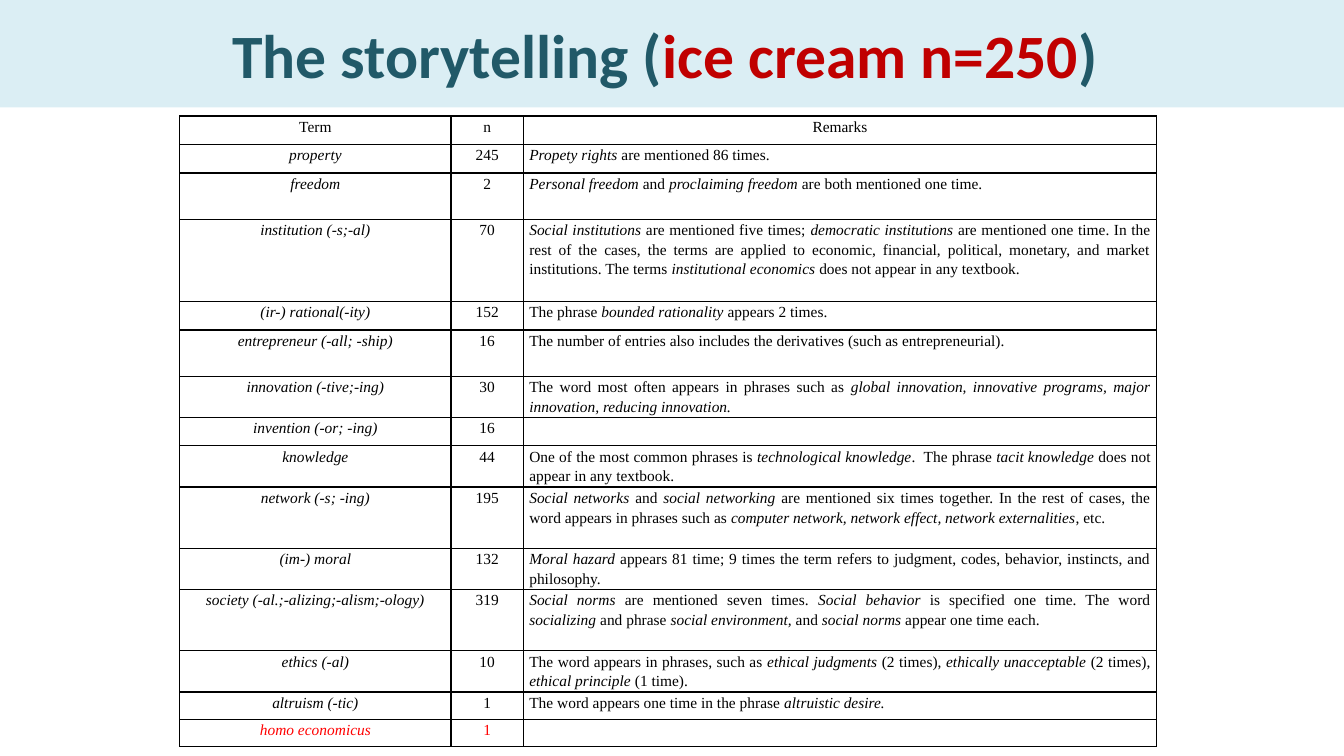
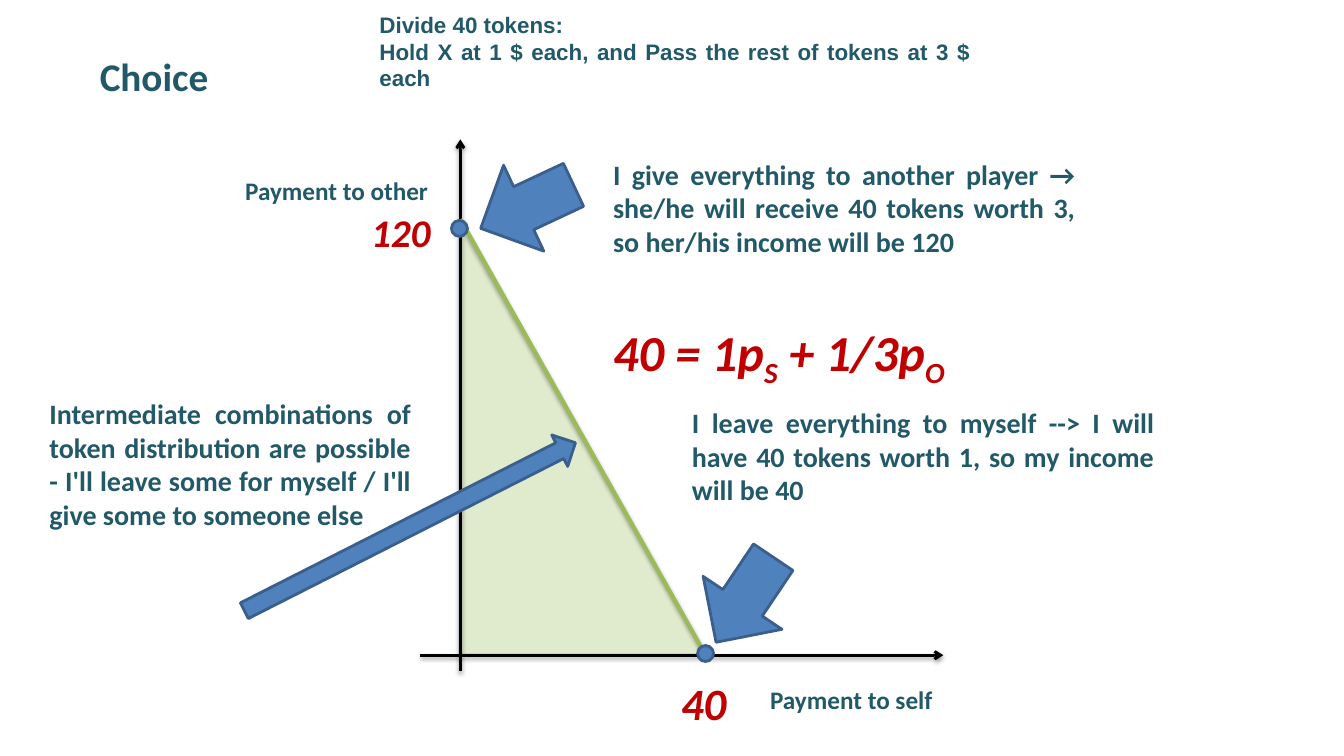
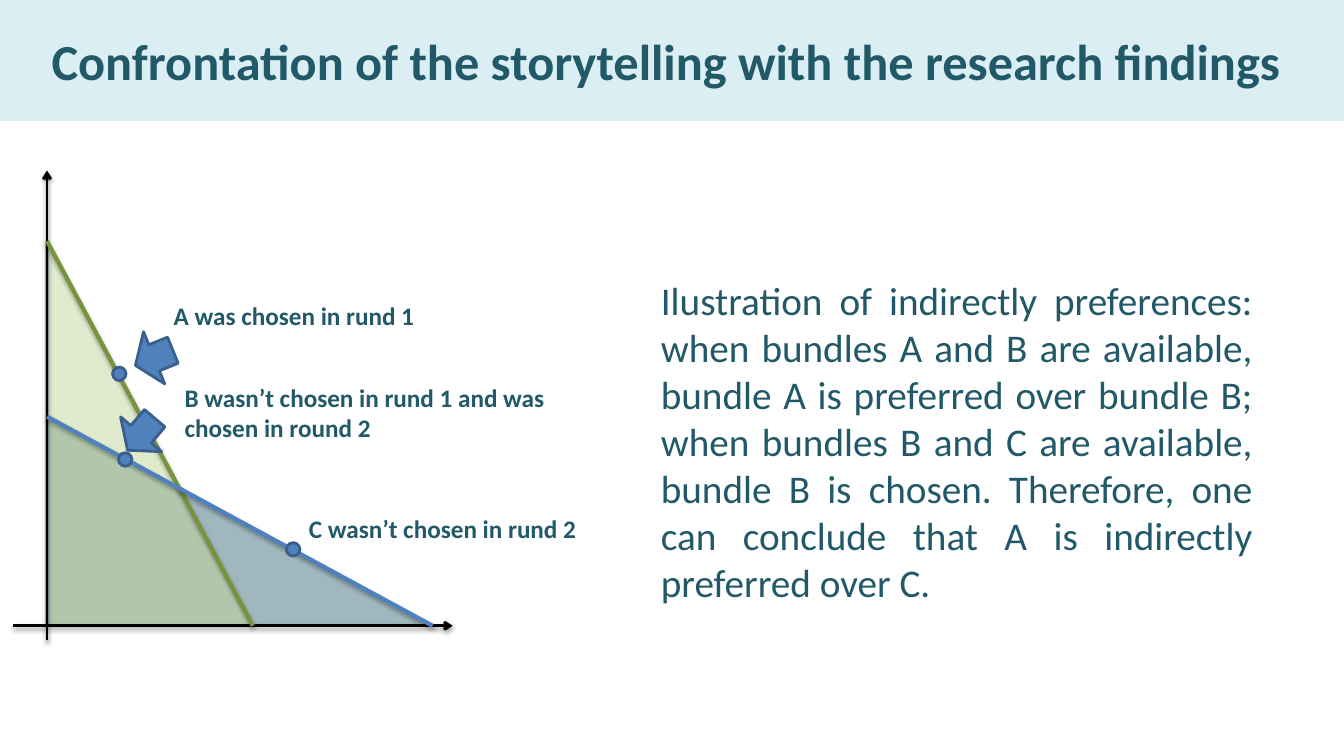
"""Build three slides on storytelling, token choice and indirect preferences."""
from lxml.etree import SubElement
from pptx import Presentation
from pptx.dml.color import RGBColor as RGB
from pptx.enum.shapes import MSO_CONNECTOR as CONN, MSO_SHAPE as SHAPE
from pptx.enum.text import MSO_ANCHOR as ANCHOR, PP_ALIGN as ALIGN
from pptx.oxml import parse_xml
from pptx.oxml.ns import nsdecls, qn
from pptx.util import Inches, Pt

COLORS = {
    "band": "DBEEF4", "teal": "215968", "red": "C00000", "alert": "FF0000",
    "black": "000000", "blue": "4F81BD", "edge": "3A5F8C",
    "lime": "C3D69B", "green": "9BBB59", "olive": "77933C",
}
C = {name: RGB.from_string(value) for name, value in COLORS.items()}
LEFT, MID, JUST = ALIGN.LEFT, ALIGN.CENTER, ALIGN.JUSTIFY

prs = Presentation()
prs.slide_width, prs.slide_height = Inches(40 / 3), Inches(7.5)
COLS, ROWS = 160, 90
U = prs.slide_height / ROWS


def grid(*cells):
    """Turn grid cells into lengths."""
    return [round(n * U) for n in cells]


def write(tf, text, size, color="teal", align=LEFT, bold=True, italic=False, font="Calibri"):
    """Fill a text frame and return the runs set between asterisks."""
    marked = []
    tf.word_wrap = True
    for i, line in enumerate(text.split("\n")):
        p = tf.add_paragraph() if i else tf.paragraphs[0]
        p.alignment = align
        p.font.name, p.font.size = font, Pt(size)
        p.font.bold, p.font.italic = bold, italic
        p.font.color.rgb = C[color]
        for j, part in enumerate(line.split("*")):
            if part:
                r = p.add_run()
                r.text = part
                if j % 2:
                    marked.append(r)
    return marked


story, choice, findings = [prs.slides.add_slide(prs.slide_layouts[6]) for _ in range(3)]

titles = [
    (story, 12.8, 44, "The storytelling (*ice cream n=250*) "),
    (findings, 14.4, 36, "Confrontation of the storytelling with the research findings "),
]
for s, height, size, text in titles:
    sp = s.shapes.add_shape(SHAPE.RECTANGLE, *grid(0, 0, COLS, height))
    sp.shadow.inherit = False
    sp.fill.solid()
    sp.fill.fore_color.rgb = C["band"]
    sp.line.fill.background()
    sp.text_frame.vertical_anchor = ANCHOR.MIDDLE
    for r in write(sp.text_frame, text, size, align=MID):
        r.font.color.rgb = C["red"]

terms = [
    (3.4, "Term", "n", "Remarks"),
    (3.4, "property", "245", "*Propety rights* are mentioned 86 times."),
    (5.5, "freedom", "2",
     "*Personal freedom* and *proclaiming freedom* are both mentioned one time."),
    (9.8, "institution (-s;-al)", "70",
     "*Social institutions* are mentioned five times; *democratic institutions* are mentioned "
     "one time. In the rest of the cases, the terms are applied to economic, financial, "
     "political, monetary, and market institutions. The terms *institutional economics* "
     "does not appear in any textbook."),
    (3.4, "(ir-) rational(-ity)", "152", "The phrase *bounded rationality* appears 2 times."),
    (5.5, "entrepreneur (-all; -ship)", "16",
     "The number of entries also includes the derivatives (such as entrepreneurial)."),
    (4.9, "innovation (-tive;-ing)", "30",
     "The word most often appears in phrases such as *global innovation, innovative programs, "
     "major innovation, reducing innovation.*"),
    (3.4, "invention (-or; -ing)", "16", ""),
    (4.9, "knowledge", "44",
     "One of the most common phrases is *technological knowledge*.  The phrase "
     "*tacit knowledge* does not appear in any textbook."),
    (7.3, "network (-s; -ing)", "195",
     "*Social networks* and *social networking* are mentioned six times together. In the rest "
     "of cases, the word appears in phrases such as *computer network, network effect, "
     "network externalities*, etc."),
    (4.9, "(im-) moral", "132",
     "*Moral hazard* appears 81 time; 9 times the term refers to judgment, codes, behavior, "
     "instincts, and philosophy."),
    (7.3, "society (-al.;-alizing;-alism;-ology)", "319",
     "*Social norms* are mentioned seven times. *Social behavior* is specified one time. "
     "The word *socializing* and phrase *social environment,* and *social norms* "
     "appear one time each."),
    (4.9, "ethics (-al)", "10",
     "The word appears in phrases, such as *ethical judgments* (2 times), "
     "*ethically unacceptable* (2 times), *ethical principle* (1 time)."),
    (3.3, "altruism (-tic)", "1", "The word appears one time in the phrase *altruistic desire.*"),
    (3.2, "homo economicus", "1", ""),
]
widths = [32.3, 8.6, 75.4]
heights = [row[0] for row in terms]
frame = grid(21.4, 13.8, sum(widths), sum(heights))
tbl = story.shapes.add_table(len(terms), len(widths), *frame).table
tbl.first_row = tbl.horz_banding = False
for col, width in zip(tbl.columns, grid(*widths)):
    col.width = width
for i, (height, *texts) in enumerate(terms):
    tbl.rows[i].height = grid(height)[0]
    for j, text in enumerate(texts):
        cell = tbl.cell(i, j)
        cell.margin_left = cell.margin_right = Inches(0.06)
        cell.margin_top = cell.margin_bottom = 0
        cell.fill.background()
        color = "alert" if i == len(terms) - 1 else "black"
        align = JUST if i and j == 2 else MID
        for r in write(cell.text_frame, text, 11, color, align, False,
                       i > 0 and j == 0, "Times New Roman"):
            r.font.italic = True
        p = cell.text_frame.paragraphs[0]
        p.line_spacing, p.space_after = 1.15, Pt(8)
        for k, side in enumerate("LRTB"):
            cell._tc.get_or_add_tcPr().insert(k, parse_xml(
                f'<a:ln{side} {nsdecls("a")} w="12700"><a:solidFill>'
                f'<a:srgbClr val="{COLORS["black"]}"/></a:solidFill></a:ln{side}>'))

diagrams = [
    {
        "slide": choice, "origin": (54.8, 78), "x_axis": (50, 112.3), "y_axis": (79.9, 16.6),
        "budgets": [(26.1, 84, "lime", 50, "green")],
        "dot": 1.9, "dots": [(54.7, 27.2), (84, 77.8)],
        "arrows": [(83, 65.3, 11.3, 12.2, 33.9), (57.1, 18.5, 11.3, 12.2, 64.9),
                   (46.7, 40.6, 4.2, 44.2, 243.1)],
        "labels": [
            (10.7, 5.6, 18, 6.8, "Choice", 28, "teal", LEFT, True, False),
            (44, 0.7, 72.7, 10.9, "Divide 40 tokens:\nHold X at 1 $ each, and Pass the rest "
             "of tokens at 3 $ each", 16, "teal", JUST, True, False, "Arial"),
            (28, 20.3, 26, 4.8, "Payment to other", 18, "teal", LEFT, True, False),
            (43, 24.2, 11, 6.8, "120", 28, "red", LEFT, True, True),
            (79.9, 79.9, 9, 7.7, "40", 32, "red", LEFT, True, True),
            (90.5, 80.9, 24, 4.8, "Payment to self", 18, "teal", LEFT, True, False),
            (71.8, 18.1, 57.4, 13.3, "I give everything to another player → she/he will receive "
             "40 tokens worth 3, so her/his income will be 120", 20, "teal", JUST, True, False),
            (71.8, 37.6, 48, 8.5, "40 = 1p*S* + 1/3p*O*", 36, "red", LEFT, True, True),
            (81.2, 47.7, 57.4, 13.3, "I leave everything to myself --> I will have 40 tokens "
             "worth 1, so my income will be 40", 20, "teal", JUST, True, False),
            (4.7, 46.6, 45.4, 17.4, "Intermediate combinations of token distribution are possible "
             "- I'll leave some for myself / I'll give some to someone else",
             20, "teal", JUST, True, False),
        ],
    },
    {
        "slide": findings, "origin": (5.6, 74.5), "x_axis": (1.6, 53.9), "y_axis": (76.2, 20.3),
        "budgets": [(49.6, 51.5, "teal", 43, "blue"), (28.7, 30.1, "lime", 50, "olive")],
        "dot": 1.6, "dots": [(14.2, 44.5), (14.9, 54.7), (34.9, 65.4)],
        "arrows": [(15, 40.2, 6.7, 4.8, 67.9), (13.6, 49.2, 6.4, 5, 40.2)],
        "labels": [
            (19.5, 35.2, 47.6, 7.2, "A was chosen in rund 1", 18, "teal"),
            (20.8, 44.9, 51.8, 12.5, "B wasn’t chosen in rund 1 and was chosen in round 2",
             18, "teal"),
            (35.6, 60.5, 51.8, 7.2, "C wasn’t chosen in rund 2", 18, "teal"),
            (77.5, 32.3, 72.8, 46.4, "Ilustration of indirectly preferences: when bundles A and B "
             "are available, bundle A is preferred over bundle B; when bundles B and C are "
             "available, bundle B is chosen. Therefore, one can conclude that A is indirectly "
             "preferred over C.", 28, "teal", JUST, False),
        ],
    },
]
for d in diagrams:
    s = d["slide"]
    ox, oy = d["origin"]
    for top, right, fill, alpha, _ in d["budgets"]:
        outline = s.shapes.build_freeform(*grid(ox, top))
        outline.add_line_segments([grid(right, oy), grid(ox, oy)], close=True)
        sp = outline.convert_to_shape()
        sp.shadow.inherit = False
        sp.fill.solid()
        sp.fill.fore_color.rgb = C[fill]
        tint = sp._element.spPr.find(".//" + qn("a:srgbClr"))
        SubElement(tint, qn("a:alpha"), val=str(alpha * 1000))
        if fill == "lime":
            sp.line.color.rgb, sp.line.width = C["edge"], Pt(2)
        else:
            sp.line.fill.background()

    (x0, x1), (y0, y1) = d["x_axis"], d["y_axis"]
    lines = [(ox, y0, ox, y1, "black"), (x0, oy, x1, oy, "black")]
    lines += [(ox, top, right, oy, color) for top, right, *_, color in reversed(d["budgets"])]
    for *ends, color in lines:
        axis = color == "black"
        cx = s.shapes.add_connector(CONN.STRAIGHT, *grid(*ends))
        cx.line.color.rgb, cx.line.width = C[color], Pt(2 if axis else 3)
        spPr = cx._element.spPr
        if axis:
            SubElement(spPr.find(qn("a:ln")), qn("a:tailEnd"), type="arrow")
        dist, alpha = (20000, 38000) if axis else (23000, 35000)
        spPr.append(parse_xml(
            f'<a:effectLst {nsdecls("a")}><a:outerShdw blurRad="40000" dist="{dist}" '
            f'dir="5400000" rotWithShape="0"><a:srgbClr val="{COLORS["black"]}">'
            f'<a:alpha val="{alpha}"/></a:srgbClr></a:outerShdw></a:effectLst>'))

    n = d["dot"]
    marks = [(SHAPE.DOWN_ARROW, *arrow) for arrow in d["arrows"]]
    marks += [(SHAPE.OVAL, x - n / 2, y - n / 2, n, n, 0) for x, y in d["dots"]]
    for kind, *box, angle in marks:
        sp = s.shapes.add_shape(kind, *grid(*box))
        sp.rotation = angle
        sp.shadow.inherit = False
        sp.fill.solid()
        sp.fill.fore_color.rgb = C["blue"]
        sp.line.color.rgb, sp.line.width = C["edge"], Pt(2)

    for x, y, w, h, *label in d["labels"]:
        tf = s.shapes.add_textbox(*grid(x, y, w, h)).text_frame
        for r in write(tf, *label):
            r.font._element.set("baseline", "-25000")

prs.save("out.pptx")
